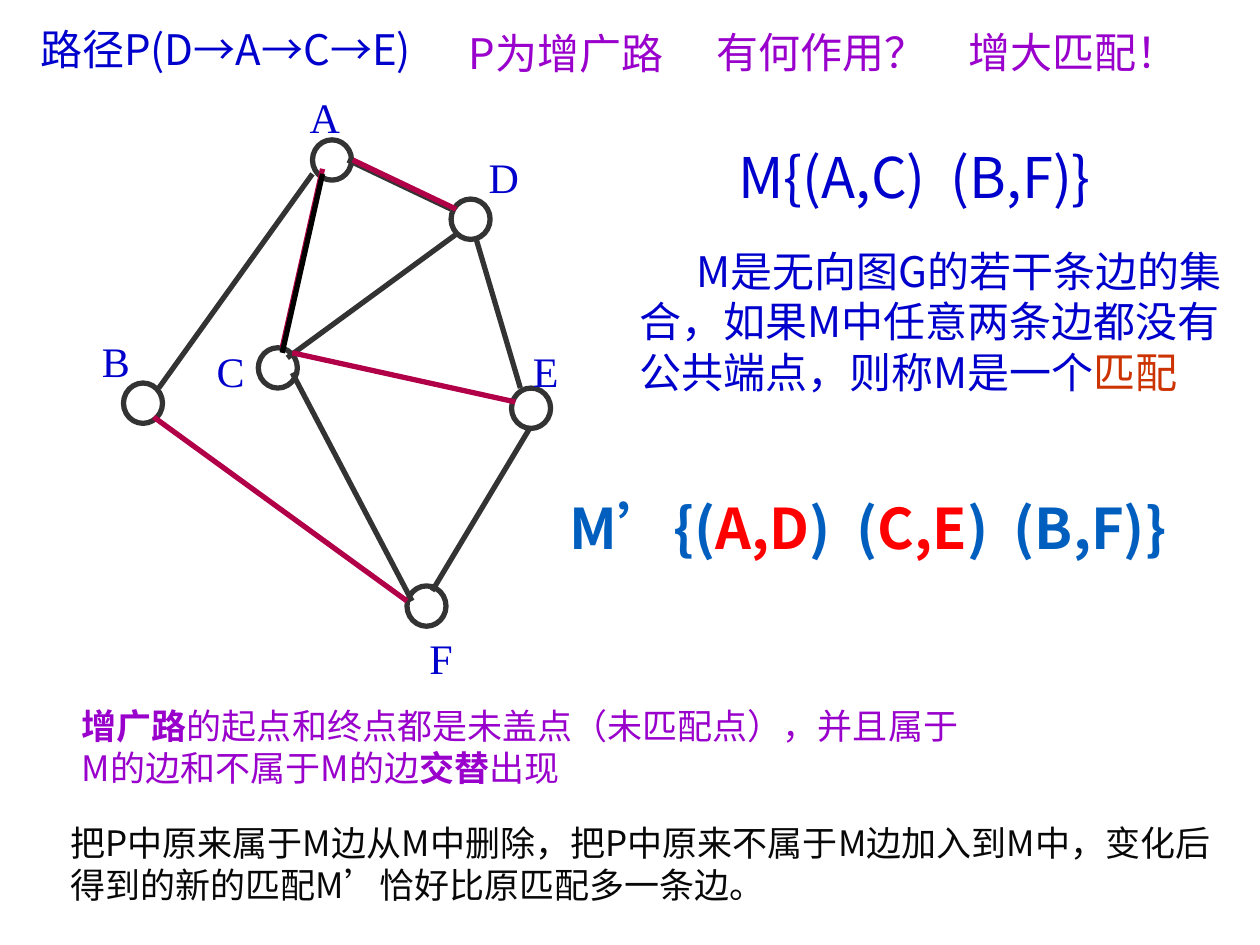
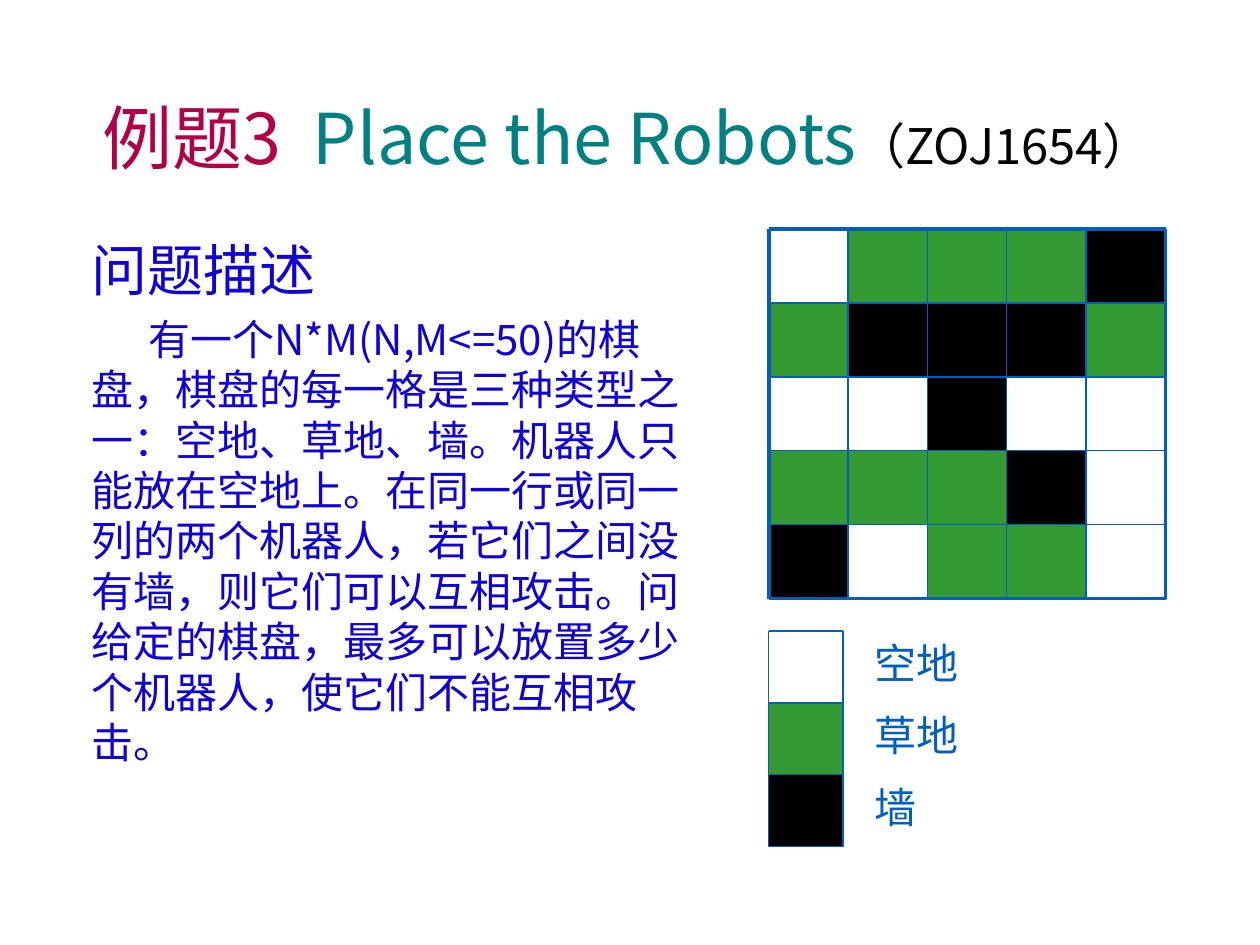
from pptx import Presentation
from pptx.dml.color import RGBColor as Rgb
from pptx.enum.shapes import MSO_CONNECTOR as Conn, MSO_SHAPE as Shape
from pptx.enum.text import MSO_ANCHOR as Anchor, PP_ALIGN as Align
from pptx.oxml.ns import qn
from pptx.util import Inches, Pt
from lxml.etree import SubElement

SANS = "Noto Sans CJK SC"
SERIF = "Times New Roman"
HUES = {
    "navy": "0000CC", "violet": "9900CC", "rust": "CC3300", "wine": "B20048",
    "gray": "333333", "black": "000000", "ink": "080808", "blue": "005FBE",
    "red": "FF0000", "teal": "008080", "indigo": "1001D5", "green": "339933",
}
NODES = {
    "A": (2.48, 1.11, 2.36, 0.68),
    "B": (0.98, 3.04, 0.71, 2.61),
    "C": (2.05, 2.76, 1.62, 2.69),
    "D": (3.58, 1.58, 3.78, 1.15),
    "E": (4.06, 3.08, 4.13, 2.69),
    "F": (3.23, 4.65, 3.31, 4.97),
}
EDGES = [
    (2.56, 1.34, 2.24, 2.76, "wine"),
    (2.76, 1.27, 3.58, 1.66, "gray"),
    (2.32, 2.96, 3.27, 4.77, "gray"),
    (3.78, 1.9, 4.13, 3.08, "gray"),
    (4.21, 3.39, 3.43, 4.69, "gray"),
    (2.28, 2.84, 3.62, 1.86, "gray"),
    (2.48, 1.38, 1.26, 3.08, "gray"),
    (1.22, 3.31, 3.23, 4.77, "wine"),
    (2.8, 1.27, 3.62, 1.66, "wine"),
    (2.56, 1.38, 2.24, 2.8, "black"),
    (2.32, 2.8, 4.09, 3.19, "wine"),
]
BOARD = [".ggg#", "g###g", "..#..", "ggg#.", "#.gg."]
FILLS = {".": None, "g": "green", "#": "black"}
LEGEND = [(".", "空地"), ("g", "草地"), ("#", "墙")]


def color(name):
    """Return the named colour."""
    return Rgb.from_string(HUES[name])


def write(para, text, size=24, hue="navy", font=SANS, bold=False):
    """Add a formatted run to a paragraph."""
    run = para.add_run()
    run.text = text
    run.font.size = Pt(size)
    run.font.bold = bold
    run.font.color.rgb = color(hue)
    run.font.name = font
    SubElement(run.font._element, qn("a:ea")).set("typeface", font)


def fill_in(para, runs, indent=0, **style):
    """Write runs, each a string or a (string, changes) pair."""
    props = para._p.get_or_add_pPr()
    props.set("hangingPunct", "0")
    if indent:
        props.set("marL", "0")
        props.set("indent", str(Inches(indent)))
    for run in [runs] if isinstance(runs, str) else runs:
        text, diff = (run, {}) if isinstance(run, str) else run
        write(para, text, **{**style, **diff})


def add_text(slide, runs, left, top, width, height, **style):
    """Add a wrapped text box and return its frame."""
    box = slide.shapes.add_textbox(Inches(left), Inches(top), Inches(width), Inches(height))
    frame = box.text_frame
    frame.word_wrap = True
    fill_in(frame.paragraphs[0], runs, **style)
    return frame


def add_form(slide, kind, left, top, width, height, line, weight, fill=None):
    """Add an outlined shape with an optional fill."""
    form = slide.shapes.add_shape(
        kind, Inches(left), Inches(top), Inches(width), Inches(height))
    form.shadow.inherit = False
    form.line.color.rgb = color(line)
    form.line.width = Pt(weight)
    if fill:
        form.fill.solid()
        form.fill.fore_color.rgb = color(fill)
    else:
        form.fill.background()


def add_line(slide, x1, y1, x2, y2, hue, weight):
    """Add a straight line without a shadow."""
    line = slide.shapes.add_connector(
        Conn.STRAIGHT, Inches(x1), Inches(y1), Inches(x2), Inches(y2))
    line.line.color.rgb = color(hue)
    line.line.width = Pt(weight)
    SubElement(line._element.spPr, qn("a:effectLst"))


def add_frame(slide, left, top, width, height, weight):
    """Draw the four blue sides of a frame."""
    right, base = left + width, top + height
    for ends in [(left, top, right, top), (left, base, right, base),
                 (left, top, left, base), (right, top, right, base)]:
        add_line(slide, *ends, "blue", weight)


def add_graph(slide):
    """Draw the graph with its nodes, edges and letters."""
    for left, top, *_ in NODES.values():
        add_form(slide, Shape.OVAL, left, top, 0.31, 0.32, "gray", 3)
    for *ends, hue in EDGES:
        add_line(slide, *ends, hue, 3)
    for name, (*_, left, top) in NODES.items():
        add_text(slide, name, left, top, 0.55, 0.5, font=SERIF)


def add_board(slide, left, top, width, height):
    """Draw the chess board and its thick border."""
    wide, tall = width / len(BOARD[0]), height / len(BOARD)
    for row, cells in enumerate(BOARD):
        for col, cell in enumerate(cells):
            add_form(slide, Shape.RECTANGLE, left + col * wide, top + row * tall,
                     wide, tall, "blue", 0.75, FILLS[cell])
    add_frame(slide, left, top, width, height, 2.25)


def add_legend(slide, left, top, width, height):
    """Draw the key to the kinds of cell."""
    for row, (cell, label) in enumerate(LEGEND):
        y = top + row * height
        add_form(slide, Shape.RECTANGLE, left, y, width, height, "blue", 0.75, FILLS[cell])
        add_text(slide, label, left + width, y, 1.5, height, indent=0.15, hue="blue")
    add_frame(slide, left, top, width, height, 1)


def make_path(slide):
    """Build the slide on augmenting paths."""
    add_graph(slide)
    add_text(slide, ["M是无向图G的若干条边的集合，如果M中任意两条边都没有公共端点，则称M是一个",
                     ("匹配", {"hue": "rust"})], 4.98, 1.9, 4.84, 1.7, indent=0.45)
    add_text(slide, "M{(A,C)  (B,F)}", 5.76, 1.08, 3.31, 0.64, size=32)
    red = {"hue": "red"}
    add_text(slide, ["M’{(", ("A,D", red), ")  (", ("C,E", red), ")  (B,F)}"],
             4.42, 3.87, 5.04, 0.64, size=32, hue="blue", bold=True)
    add_text(slide, "路径P(D→A→C→E)", 0.22, 0.14, 3.3, 0.5)
    for text, left, top in [("P为增广路", 3.62, 0.17), ("有何作用？", 5.59, 0.16),
                            ("增大匹配！", 7.59, 0.16)]:
        add_text(slide, text, left, top, 2.01, 0.5, hue="violet")
    bold = {"bold": True}
    add_text(slide, [("增广路", bold),
                     "的起点和终点都是未盖点（未匹配点），并且属于M的边和不属于M的边",
                     ("交替", bold), "出现"], 0.55, 5.54, 7.32, 0.77, size=20, hue="violet")
    add_text(slide, "把P中原来属于M边从M中删除，把P中原来不属于M边加入到M中，"
                    "变化后得到的新的匹配M’恰好比原匹配多一条边。",
             0.46, 6.47, 9.25, 0.77, size=20, hue="ink")


def make_robots(slide):
    """Build the slide on the robot problem."""
    title = add_text(slide, ["例题3  ", ("Place the Robots", {"hue": "teal"}),
                             ("（ZOJ1654）", {"size": 28, "hue": "black"})],
                     0.31, 0.57, 9.34, 1.02, size=40, hue="wine")
    title.vertical_anchor = Anchor.MIDDLE
    title.paragraphs[0].alignment = Align.CENTER
    body = add_text(slide, "问题描述", 0.63, 1.82, 5.12, 4.85, size=32, hue="indigo")
    para = body.add_paragraph()
    para.space_before = Pt(6)
    fill_in(para, "有一个N*M(N,M<=50)的棋盘，棋盘的每一格是三种类型之一：空地、草地、墙。"
                  "机器人只能放在空地上。在同一行或同一列的两个机器人，若它们之间没有墙，"
                  "则它们可以互相攻击。问给定的棋盘，最多可以放置多少个机器人，"
                  "使它们不能互相攻击。", indent=0.45, hue="indigo")
    add_board(slide, 6.1, 1.82, 3.15, 2.93)
    add_legend(slide, 6.1, 5.01, 0.59, 0.57)


def main():
    """Build and save the deck."""
    deck = Presentation()
    deck.slide_width, deck.slide_height = Inches(10), Inches(7.5)
    for make in (make_path, make_robots):
        make(deck.slides.add_slide(deck.slide_layouts[6]))
    deck.save("out.pptx")


if __name__ == "__main__":
    main()
